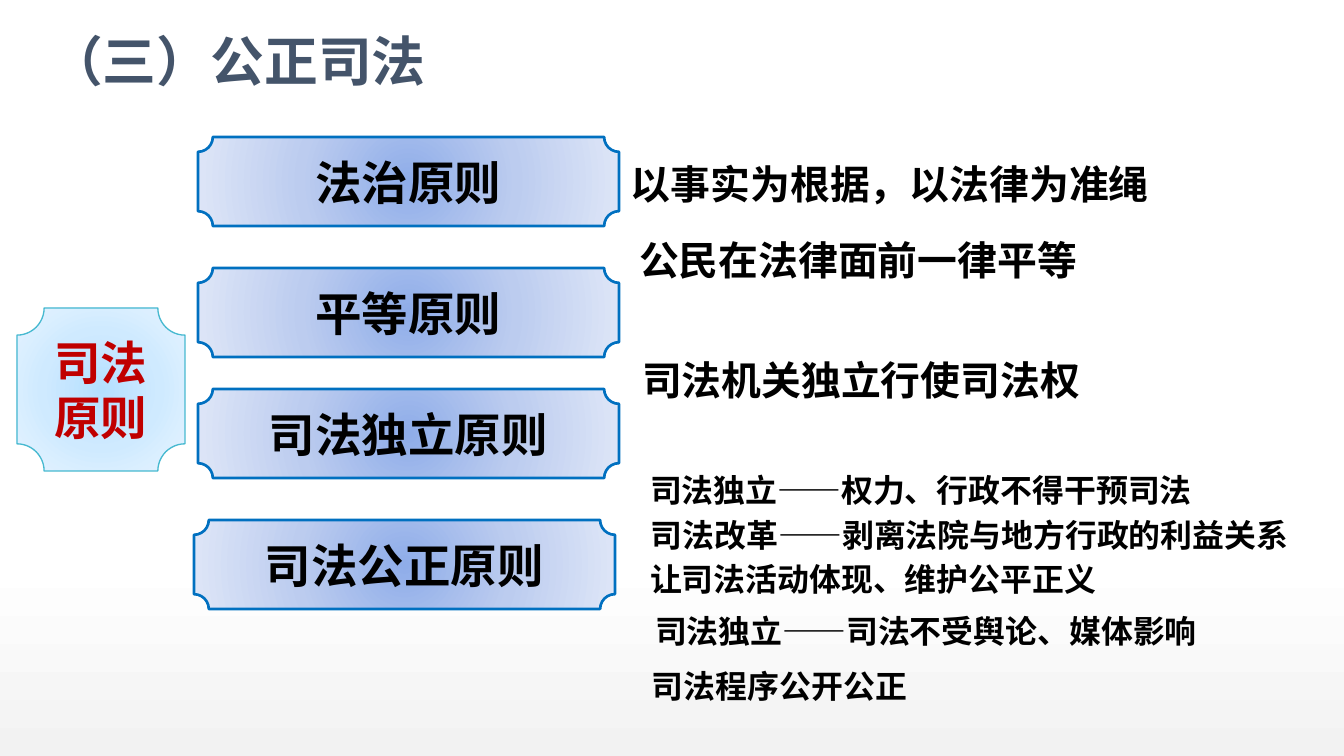
from lxml import etree
from pptx import Presentation, util as u
from pptx.dml.color import RGBColor
from pptx.enum import lang, shapes, text
from pptx.oxml import parse_xml
from pptx.oxml.ns import nsdecls, qn

PX = 9565
CJK = "Noto Sans CJK SC"
COLORS = {
    "title": "44546A", "ink": "000000", "root": "C00000",
    "principle_line": "0070C0", "root_line": "46B9D0",
    "floor": "F2F2F2", "page": "FFFFFF",
}
GLOWS = {
    "principle": ["8FADE9", "BCCCEF", "DEE6F7"],
    "root": ["B4DFFF", "CFEAFF", "E7F4FF"],
}


def write(frame, wording, size, font, color, inset_x, inset_y):
    frame.margin_left = frame.margin_right = inset_x * PX
    frame.margin_top = frame.margin_bottom = inset_y * PX
    paragraph = frame.paragraphs[0]
    paragraph.text = wording
    paragraph.font.size = u.Pt(size)
    paragraph.font.bold = True
    paragraph.font.name = font
    paragraph.font.language_id = lang.MSO_LANGUAGE_ID.SIMPLIFIED_CHINESE
    paragraph.font.color.rgb = RGBColor.from_string(COLORS[color])
    properties = paragraph._p.pPr.find(qn("a:defRPr"))
    etree.SubElement(properties, qn("a:ea")).set("typeface", CJK)
    return paragraph


def add_plaque(box, wording, kind, font, color, line_width):
    plaque = slide.shapes.add_shape(shapes.MSO_SHAPE.PLAQUE, *[n * PX for n in box])
    plaque.shadow.inherit = False
    stops = "".join(
        f'<a:gs pos="{i * 50000}"><a:srgbClr val="{shade}"/></a:gs>'
        for i, shade in enumerate(GLOWS[kind])
    )
    glow = parse_xml(
        f'<a:gradFill {nsdecls("a")} rotWithShape="1"><a:gsLst>{stops}</a:gsLst>'
        '<a:path path="circle"><a:fillToRect l="50000" t="50000" r="50000" b="50000"/>'
        "</a:path></a:gradFill>"
    )
    plaque._element.spPr.find(qn("a:prstGeom")).addnext(glow)
    plaque.line.color.rgb = RGBColor.from_string(COLORS[kind + "_line"])
    plaque.line.width = u.Pt(line_width)
    frame = plaque.text_frame
    frame.word_wrap = True
    frame.vertical_anchor = text.MSO_ANCHOR.MIDDLE
    paragraph = write(frame, wording, 35, font, color, 12, 6)
    paragraph.alignment = text.PP_ALIGN.CENTER


deck = Presentation()
deck.slide_width, deck.slide_height = 1344 * PX, 756 * PX
slide = deck.slides.add_slide(deck.slide_layouts[5])

backdrop = slide.background.fill
backdrop.gradient()
backdrop.gradient_angle = 90
for stop, shade, position in zip(backdrop.gradient_stops, ("floor", "page"), (0, 0.26)):
    stop.color.rgb = RGBColor.from_string(COLORS[shade])
    stop.position = position

title = slide.shapes.title
title.left, title.top, title.width, title.height = [n * PX for n in (39, 31, 943, 67)]
title.text_frame.vertical_anchor = text.MSO_ANCHOR.MIDDLE
heading = write(title.text_frame, "（三）公正司法", 40.5, CJK, "title", 10, 5)
heading.alignment = text.PP_ALIGN.LEFT
heading.line_spacing = 0.9

add_plaque((17, 308, 168, 163), "司法原则", "root", "Calibri", "root", 1)
for left, top, principle in [
    (198, 137, "法治原则"),
    (198, 268, "平等原则"),
    (198, 389, "司法独立原则"),
    (194, 520, "司法公正原则"),
]:
    add_plaque((left, top, 421, 89), principle, "principle", "Arial", "ink", 2)

MEANING = (60, 30, CJK, 12, 6)
DETAIL = (48, 24, "Calibri", 10, 5)
for left, top, width, wording, style in [
    (619, 154, 550, "以事实为根据，以法律为准绳", MEANING),
    (627, 230, 468, "公民在法律面前一律平等", MEANING),
    (630, 350, 468, "司法机关独立行使司法权", MEANING),
    (640, 466, 563, "司法独立——权力、行政不得干预司法", DETAIL),
    (641, 511, 660, "司法改革——剥离法院与地方行政的利益关系", DETAIL),
    (640, 555, 472, "让司法活动体现、维护公平正义", DETAIL),
    (645, 607, 563, "司法独立——司法不受舆论、媒体影响", DETAIL),
    (642, 662, 278, "司法程序公开公正", DETAIL),
]:
    height, size, font, inset_x, inset_y = style
    note = slide.shapes.add_textbox(*[n * PX for n in (left, top, width, height)])
    note.text_frame.word_wrap = False
    note.text_frame.auto_size = text.MSO_AUTO_SIZE.SHAPE_TO_FIT_TEXT
    write(note.text_frame, wording, size, font, "ink", inset_x, inset_y)

deck.save("out.pptx")
